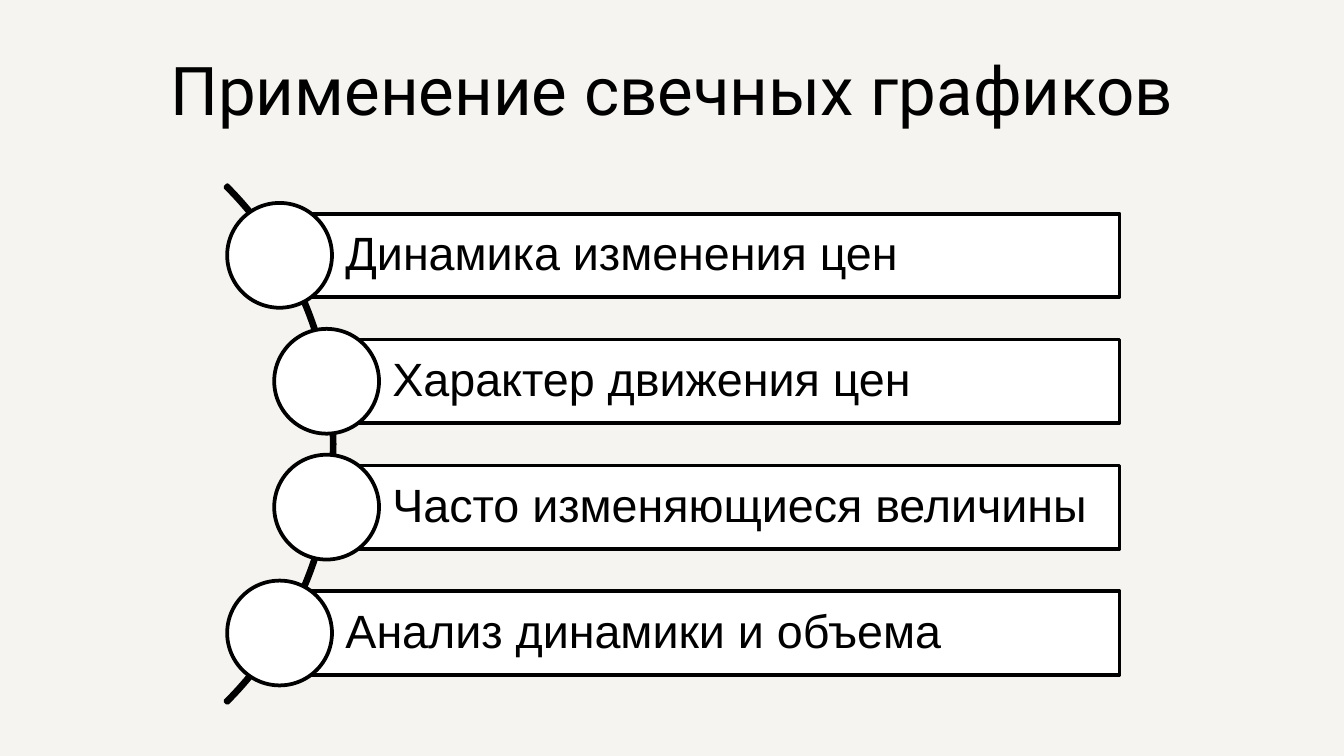
import pptx
import pptx.dml.color
import pptx.enum.shapes
import pptx.enum.text
import pptx.util

Inch = pptx.util.Inches
Pt = pptx.util.Pt
Kind = pptx.enum.shapes.MSO_SHAPE
Align = pptx.enum.text.PP_ALIGN
Anchor = pptx.enum.text.MSO_ANCHOR
tint = pptx.dml.color.RGBColor.from_string

INK, PAPER, BACK = "000000", "FFFFFF", "F5F4F0"


def draw(kind, x, y, w, h, fill=PAPER):
    """Add an outlined preset shape, with no fill when fill is None."""
    shape = slide.shapes.add_shape(kind, Inch(x), Inch(y), Inch(w), Inch(h))
    shape.shadow.inherit = False
    if fill:
        shape.fill.solid()
        shape.fill.fore_color.rgb = tint(fill)
    else:
        shape.fill.background()
    shape.line.color.rgb = tint(INK)
    shape.line.width = Pt(2)
    return shape


def write(shape, text, font="Arial", size=25, align=Align.LEFT,
          anchor=Anchor.MIDDLE, left=0.07, pad=0.07, space=1.0):
    frame = shape.text_frame
    frame.word_wrap = True
    frame.vertical_anchor = anchor
    frame.margin_left = Inch(left)
    frame.margin_top = frame.margin_right = frame.margin_bottom = Inch(pad)
    par = frame.paragraphs[0]
    par.alignment = align
    par.line_spacing = space
    run = par.add_run()
    run.text = text
    run.font.name = font
    run.font.size = Pt(size)
    run.font.color.rgb = tint(INK)


deck = pptx.Presentation()
deck.slide_width = Inch(10)
deck.slide_height = deck.slide_width * 9 // 16
slide = deck.slides.add_slide(deck.slide_layouts[6])
slide.background.fill.solid()
slide.background.fill.fore_color.rgb = tint(BACK)

# Title
title = slide.shapes.add_textbox(Inch(0.34), Inch(0.21), Inch(9.32), Inch(0.85))
write(title, "Применение свечных графиков", font="Roboto", size=36,
      align=Align.CENTER, anchor=Anchor.BOTTOM, left=0.1, pad=0.1)

# Curve behind the list, open from -45 to 45 degrees
arc = draw(Kind.BLOCK_ARC, -2.96, 0.58, 5.45, 5.45, fill=None)
arc.adjustments[0] = 189
arc.adjustments[1] = 27
arc.adjustments[2] = 0.004

# Rows: a bar that starts at the centre of its circle
FIRST, LAST, RIGHT = 1.9, 4.71, 8.33
BAR, DOT = 0.62, 0.78
rows = [
    (2.08, "Динамика изменения цен"),
    (2.43, "Характер движения цен"),
    (2.43, "Часто изменяющиеся величины"),
    (2.08, "Анализ динамики и объема"),
]
step = (LAST - FIRST) / (len(rows) - 1)
for i, (x, text) in enumerate(rows):
    mid = FIRST + i * step
    bar = draw(Kind.RECTANGLE, x, mid - BAR / 2, RIGHT - x, BAR)
    write(bar, text, left=0.49, space=0.9)
    draw(Kind.OVAL, x - DOT / 2, mid - DOT / 2, DOT, DOT)

deck.save("out.pptx")
